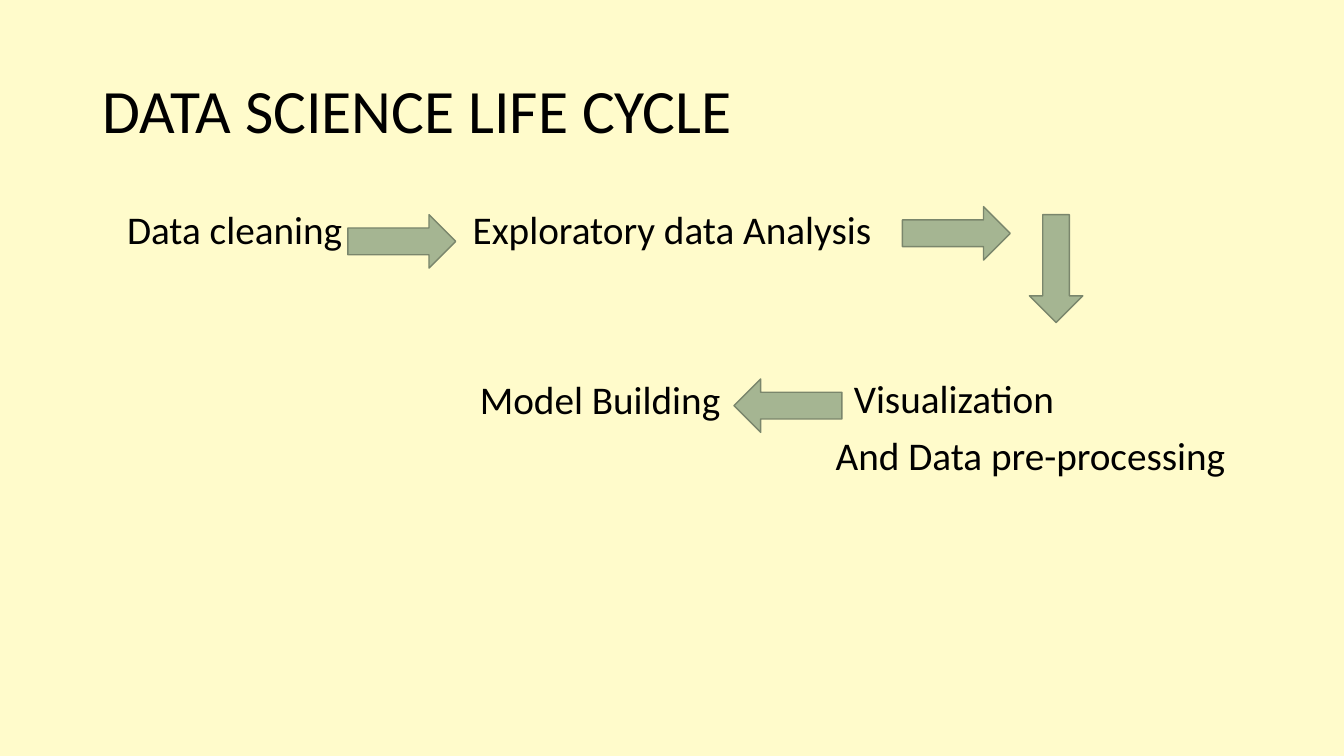
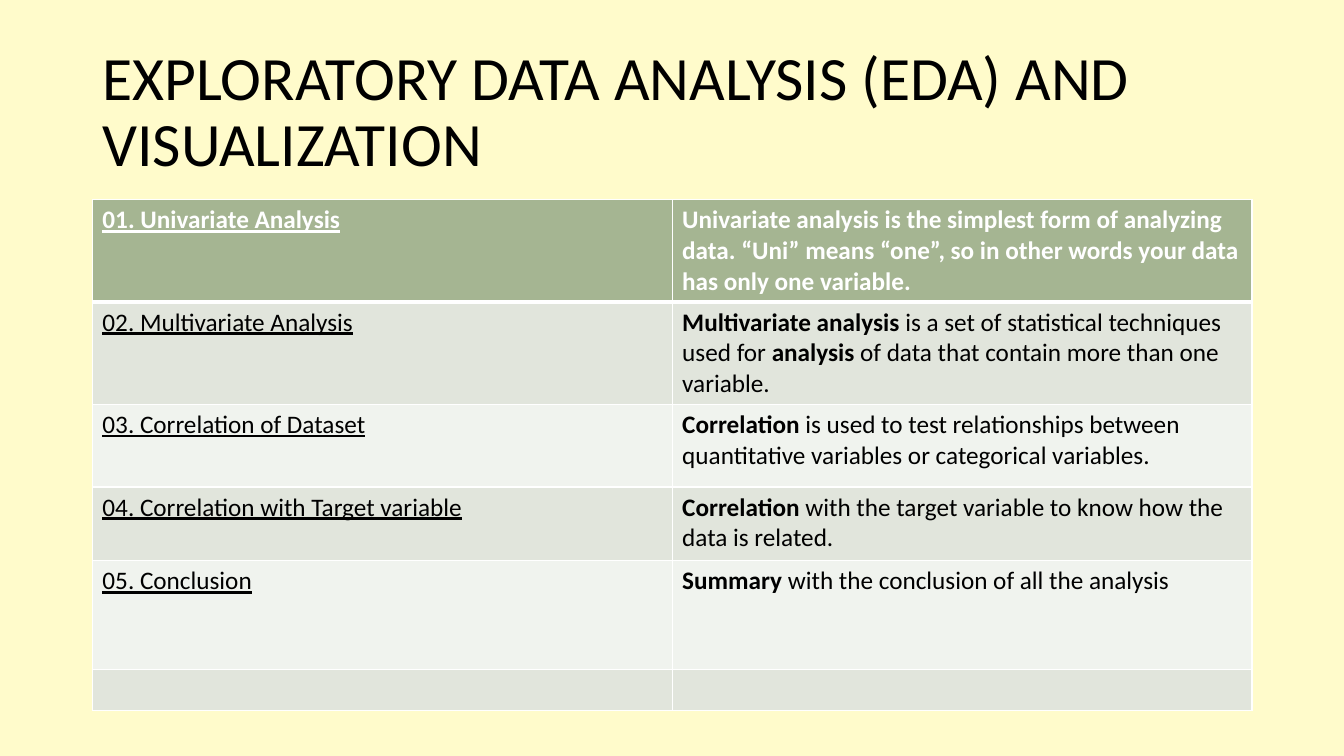
from lxml import etree
from pptx import Presentation
from pptx.dml.color import RGBColor
from pptx.enum.shapes import MSO_SHAPE
from pptx.enum.text import MSO_ANCHOR, MSO_AUTO_SIZE, PP_ALIGN
from pptx.oxml.ns import qn
from pptx.util import Inches, Pt

RIGHT, DOWN, LEFT = MSO_SHAPE.RIGHT_ARROW, MSO_SHAPE.DOWN_ARROW, MSO_SHAPE.LEFT_ARROW
MIDDLE, TOP = MSO_ANCHOR.MIDDLE, MSO_ANCHOR.TOP
NO_AUTOFIT = MSO_AUTO_SIZE.NONE
ALIGN_LEFT = PP_ALIGN.LEFT

CREAM = RGBColor(0xFF, 0xFB, 0xCB)
SAGE = RGBColor(0xA5, 0xB5, 0x92)
DARK_SAGE = RGBColor(0x7A, 0x86, 0x6C)
BANDS = (RGBColor(0xF0, 0xF3, 0xEE), RGBColor(0xE1, 0xE5, 0xDC))
BLACK = RGBColor(0, 0, 0)
WHITE = RGBColor(0xFF, 0xFF, 0xFF)
FONT = "Calibri"

TITLE_AND_BODY, TITLE_ONLY = 1, 5
MARGIN, CONTENT_WIDTH = 11 / 12, 11.5
ARROW_LENGTH, ARROW_BREADTH = 1.07, 0.53
FIRST_ROW_TOP, SECOND_ROW_TOP = 2.04, 3.72

LEADING_STEPS = [("Data cleaning", 10, 0), ("Model Building", 91, 3.5)]
EXPLORATION_STEP = [("Exploratory data Analysis", 10, 0)]
VISUALIZATION_STEP = [("Visualization", 10, 0.18), ("And Data pre-processing", 10, 0)]
ARROWS = [
    (RIGHT, 3.45, 2.13),
    (RIGHT, 8.95, 2.05),
    (DOWN, 10.21, 2.13),
    (LEFT, 7.28, 3.76),
]
ROW_HEIGHTS = [0.71, 0.75, 0.82, 0.73, 1.08, 0.41]
ANALYSES = [
    ("01. Univariate Analysis", [
        ("Univariate analysis is the simplest form of analyzing data. “Uni” means “one”, "
         "so in other words your data has only one variable.", True)]),
    ("02. Multivariate Analysis", [
        ("Multivariate analysis", True),
        (" is a set of statistical techniques used for ", False),
        ("analysis", True),
        (" of data that contain more than one variable.", False)]),
    ("03. Correlation of Dataset", [
        ("Correlation", True),
        (" is used to test relationships between quantitative variables "
         "or categorical variables.", False)]),
    ("04. Correlation with Target variable", [
        ("Correlation", True),
        (" with the target variable to know how the data is related.", False)]),
    ("05. Conclusion", [
        ("Summary", True),
        (" with the conclusion of all the analysis", False)]),
    ("", []),
]


def add_text(paragraph, text, size=18, color=BLACK, bold=False, underline=False):
    """Append a formatted run to a paragraph."""
    run = paragraph.add_run()
    run.text = text
    font = run.font
    font.name, font.size, font.bold, font.underline = FONT, Pt(size), bold, underline
    font.color.rgb = color


def place(holder, left, top, width, height, anchor):
    """Move a text holder and return its text frame."""
    holder.left, holder.top = Inches(left), Inches(top)
    holder.width, holder.height = Inches(width), Inches(height)
    frame = holder.text_frame
    frame.word_wrap = True
    frame.auto_size = NO_AUTOFIT
    frame.vertical_anchor = anchor
    return frame


def add_slide(prs, layout, title):
    """Add a slide with the shared title style."""
    slide = prs.slides.add_slide(prs.slide_layouts[layout])
    frame = place(slide.shapes.title, MARGIN, 0.4, CONTENT_WIDTH, 1.45, MIDDLE)
    heading = frame.paragraphs[0]
    heading.alignment = ALIGN_LEFT
    heading.line_spacing = 0.9
    add_text(heading, title, size=44)
    return slide


def set_indent(paragraph, indent):
    """Remove the bullet and indent the whole paragraph."""
    properties = paragraph._p.get_or_add_pPr()
    properties.set("marL", str(Inches(indent)))
    properties.set("indent", "0")
    etree.SubElement(properties, qn("a:buNone"))


def write_steps(frame, steps):
    """Write life cycle steps, each with its space before and indent."""
    for index, (text, space_before, indent) in enumerate(steps):
        step = frame.add_paragraph() if index else frame.paragraphs[0]
        step.line_spacing = 0.9
        step.space_before = Pt(space_before)
        set_indent(step, indent)
        add_text(step, text, size=28)


def add_step_box(slide, left, top, width, height, steps):
    """Add a text box beside the body for steps in a later column."""
    box = slide.shapes.add_textbox(0, 0, 0, 0)
    write_steps(place(box, left, top, width, height, TOP), steps)


def add_arrow(slide, direction, left, top):
    """Add a block arrow pointing in the given direction."""
    size = (ARROW_LENGTH, ARROW_BREADTH)
    width, height = reversed(size) if direction == DOWN else size
    arrow = slide.shapes.add_shape(
        direction, Inches(left), Inches(top), Inches(width), Inches(height))
    arrow.shadow.inherit = False
    arrow.fill.solid()
    arrow.fill.fore_color.rgb = SAGE
    arrow.line.color.rgb = DARK_SAGE
    arrow.line.width = Pt(1)


def style_cell(cell, fill, top, bottom):
    """Give a cell white borders and a solid fill."""
    properties = cell._tc.get_or_add_tcPr()
    for side, width in (("L", 1), ("R", 1), ("T", top), ("B", bottom)):
        border = etree.SubElement(properties, qn(f"a:ln{side}"), w=str(Pt(width)))
        solid = etree.SubElement(border, qn("a:solidFill"))
        etree.SubElement(solid, qn("a:srgbClr"), val=str(WHITE))
    cell.fill.solid()
    cell.fill.fore_color.rgb = fill


def add_analysis_table(slide):
    """Add the table of analyses and their descriptions."""
    table = slide.shapes.add_table(
        len(ANALYSES), 2, Inches(MARGIN), Inches(1.98),
        Inches(CONTENT_WIDTH), Inches(sum(ROW_HEIGHTS))).table
    for index, (name, description) in enumerate(ANALYSES):
        table.rows[index].height = Inches(ROW_HEIGHTS[index])
        is_header = index == 0
        fill = SAGE if is_header else BANDS[index % 2]
        color = WHITE if is_header else BLACK
        name_cell, description_cell = table.rows[index].cells
        for cell in (name_cell, description_cell):
            style_cell(cell, fill, 3 if index == 1 else 1, 3 if is_header else 1)
        if name:
            add_text(name_cell.text_frame.paragraphs[0], name,
                     color=color, bold=is_header, underline=True)
        for text, bold in description:
            add_text(description_cell.text_frame.paragraphs[0], text, color=color, bold=bold)


def main():
    """Build and save the presentation."""
    prs = Presentation()
    prs.slide_width, prs.slide_height = Inches(13.33), Inches(7.5)
    background = prs.slide_master.background.fill
    background.solid()
    background.fore_color.rgb = CREAM

    life_cycle = add_slide(prs, TITLE_AND_BODY, "DATA SCIENCE LIFE CYCLE")
    body = place(life_cycle.placeholders[1], 1.16, FIRST_ROW_TOP, CONTENT_WIDTH, 4.76, TOP)
    write_steps(body, LEADING_STEPS)
    add_step_box(life_cycle, 4.59, FIRST_ROW_TOP, 4.3, 0.6, EXPLORATION_STEP)
    add_step_box(life_cycle, 8.19, SECOND_ROW_TOP, 4.3, 1.2, VISUALIZATION_STEP)
    for direction, left, top in ARROWS:
        add_arrow(life_cycle, direction, left, top)

    exploration = add_slide(
        prs, TITLE_ONLY, "EXPLORATORY DATA ANALYSIS (EDA) AND VISUALIZATION")
    add_analysis_table(exploration)
    prs.save("out.pptx")


if __name__ == "__main__":
    main()
